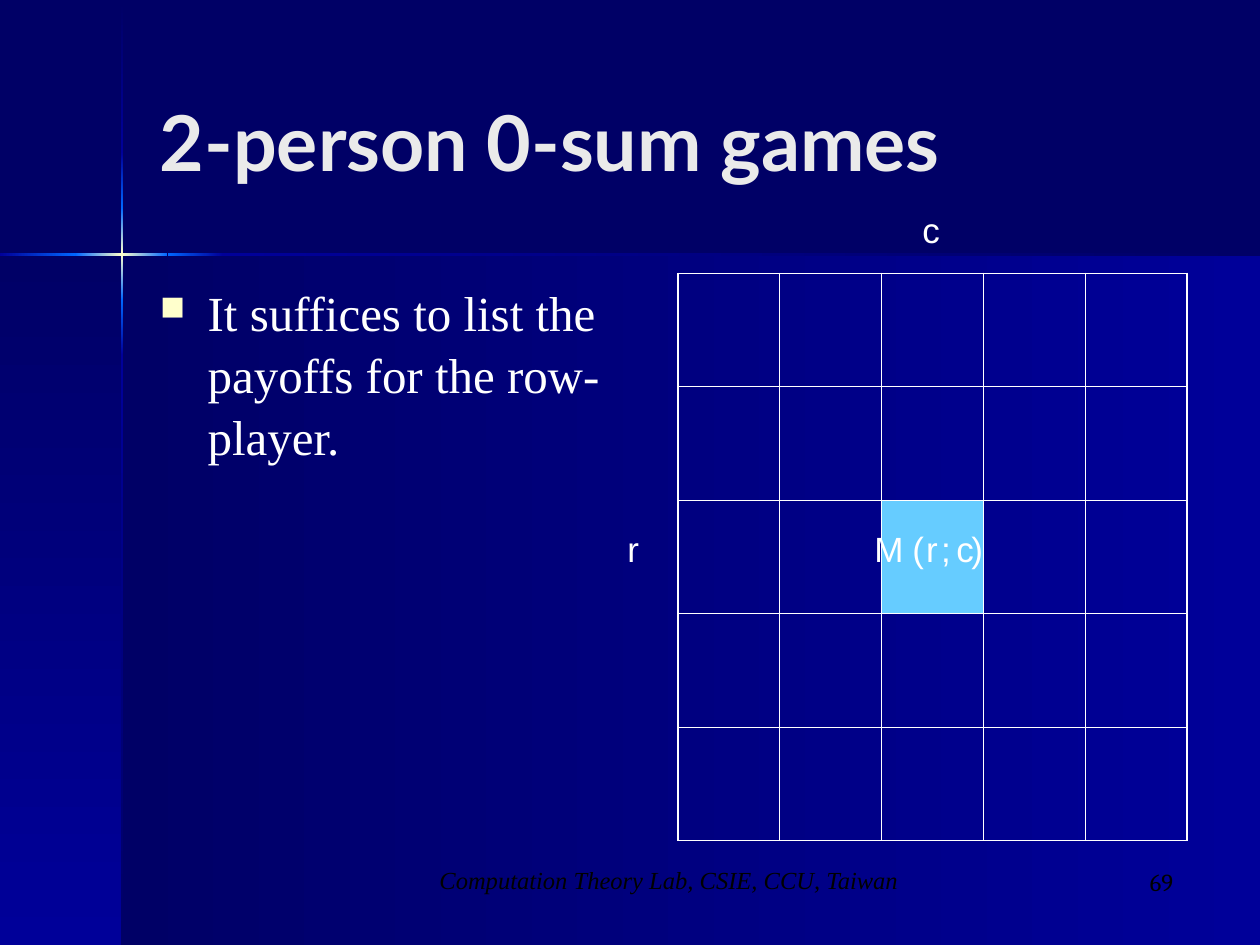
from lxml import etree
from pptx import Presentation, util as u
from pptx.dml.color import RGBColor
from pptx.enum import shapes, text
from pptx.oxml import parse_xml
from pptx.oxml.ns import nsdecls, qn

COLS, ROWS = 1000, 750
UNIT = u.Inches(10) // COLS
NIGHT, NAVY, GLOW, CREAM = "000066", "000099", "0066FF", "FFFFCC"
WHITE, BLACK, SKY = "FFFFFF", "000000", "66CCFF"
SERIF = "Times New Roman"


def rgb(value):
    return RGBColor.from_string(value)


def place(box):
    return [u.Emu(int(share * UNIT)) for share in box]


def apply_format(target, values):
    for key, value in values.items():
        setattr(target, key, value)


def add_gradient(slide, box, colours, angle):
    panel = slide.shapes.add_shape(shapes.MSO_SHAPE.RECTANGLE, *place(box))
    panel.shadow.inherit = False
    panel.line.fill.background()
    step = 100000 // (len(colours) - 1)
    stops = "".join(
        f'<a:gs pos="{i * step}"><a:srgbClr val="{colour}"/></a:gs>'
        for i, colour in enumerate(colours)
    )
    gradient = parse_xml(
        f'<a:gradFill {nsdecls("a")} rotWithShape="1"><a:gsLst>{stops}</a:gsLst>'
        f'<a:lin ang="{angle * 60000}" scaled="0"/></a:gradFill>'
    )
    panel._element.spPr.find(qn("a:prstGeom")).addnext(gradient)


def add_text(slide, box, words, size, face, colour, frame=None, style=None, layout=None):
    area = slide.shapes.add_textbox(*place(box)).text_frame
    apply_format(area, {"word_wrap": True, **(frame or {})})
    line = area.paragraphs[0]
    apply_format(line, layout or {})
    run = line.add_run()
    run.text = words
    apply_format(run.font, {"size": u.Pt(size), "name": face, **(style or {})})
    run.font.color.rgb = rgb(colour)
    return line


def draw_backdrop(slide, box):
    left, top, right, bottom = box
    cross_x, cross_y = 97, 202
    add_gradient(slide, (cross_x, cross_y, right - cross_x, bottom - cross_y), (NIGHT, NAVY), 0)
    add_gradient(slide, (left, cross_y, cross_x, bottom - cross_y), (NIGHT, NAVY), 90)
    fade_in, rise = (NIGHT, NAVY), (NAVY, GLOW)
    flare, fall, fade_out = (GLOW, CREAM, GLOW), (GLOW, NAVY), (NAVY, NIGHT)
    upright = zip((top + 1, 121, 165, 238, 282), (121, 165, 238, 282, bottom),
                  (fade_in, rise, flare, fall, fade_out))
    for start, end, colours in upright:
        add_gradient(slide, (cross_x - 1, start, 2, end - start), colours, 90)
    level = zip((left, 60, 133, 177), (60, 133, 177, right), (rise, flare, fall, fade_out))
    for start, end, colours in level:
        add_gradient(slide, (start, cross_y - 1, end - start, 2), colours, 0)


def draw_title(slide, box):
    add_text(slide, box, "2-person 0-sum games", 44, "Lato", "EAEAEA",
             {"vertical_anchor": text.MSO_ANCHOR.MIDDLE}, {"bold": True})


def draw_body(slide, box):
    line = add_text(slide, box, "It suffices to list the payoffs for the row-player.",
                    28, SERIF, WHITE, layout={"line_spacing": 1.05})
    props = line._p.get_or_add_pPr()
    indent = u.Inches(0.38)
    props.set("marL", str(indent))
    props.set("indent", str(-indent))
    colour = etree.SubElement(props, qn("a:buClr"))
    etree.SubElement(colour, qn("a:srgbClr")).set("val", CREAM)
    etree.SubElement(props, qn("a:buSzPct")).set("val", "70000")
    etree.SubElement(props, qn("a:buChar")).set("char", "■")


def border_cell(cell, widths):
    props = cell._tc.get_or_add_tcPr()
    for order, (side, width) in enumerate(widths.items()):
        props.insert(order, parse_xml(
            f'<a:ln{side} {nsdecls("a")} w="{u.Pt(width)}"><a:solidFill>'
            f'<a:srgbClr val="{WHITE}"/></a:solidFill></a:ln{side}>'
        ))


def draw_matrix(slide, box, count, chosen):
    matrix = slide.shapes.add_table(count, count, *place(box)).table
    apply_format(matrix, {"first_row": False, "horz_banding": False})
    last = count - 1
    thick, thin = 1.08, 0.45
    for r in range(count):
        for c in range(count):
            cell = matrix.cell(r, c)
            if (r, c) == chosen:
                cell.fill.solid()
                cell.fill.fore_color.rgb = rgb(SKY)
            else:
                cell.fill.background()
            outer = {"L": c == 0, "R": c == last, "T": r == 0, "B": r == last}
            border_cell(cell, {side: thick if edge else thin for side, edge in outer.items()})


def draw_symbols(slide, baseline, symbols):
    height = 32
    frame = {"word_wrap": False, "vertical_anchor": text.MSO_ANCHOR.BOTTOM}
    frame.update({f"margin_{side}": 0 for side in ("left", "top", "right", "bottom")})
    for symbol, left, width in symbols:
        add_text(slide, (left, baseline - height, width, height), symbol, 20, "Arial", WHITE, frame)


def draw_footer(slide, credit_box, number_box):
    add_text(slide, credit_box, "Computation Theory Lab, CSIE, CCU, Taiwan", 14, SERIF, BLACK,
             style={"italic": True}, layout={"alignment": text.PP_ALIGN.CENTER})
    add_text(slide, number_box, "69", 14, "Cambria", BLACK,
             layout={"alignment": text.PP_ALIGN.RIGHT})


def main():
    deck = Presentation()
    apply_format(deck, {"slide_width": UNIT * COLS, "slide_height": UNIT * ROWS})
    slide = deck.slides.add_slide(deck.slide_layouts[6])
    slide.background.fill.solid()
    slide.background.fill.fore_color.rgb = rgb(NIGHT)
    draw_backdrop(slide, (0, 0, COLS, ROWS))
    draw_title(slide, (117, 33, 825, 157))
    draw_body(slide, (117, 217, 404, 450))
    draw_matrix(slide, (538, 217, 404, 450), 5, (2, 2))
    draw_symbols(slide, 199, [("c", 732, 12)])
    draw_symbols(slide, 452, [("r", 498, 12), ("M", 694, 27), ("(", 724, 11), ("r", 735, 12),
                              (";", 747, 8), ("c", 759, 12), (")", 771, 11)])
    draw_footer(slide, (313, 682, 436, 50), (733, 683, 208, 50))
    deck.save("out.pptx")


if __name__ == "__main__":
    main()
